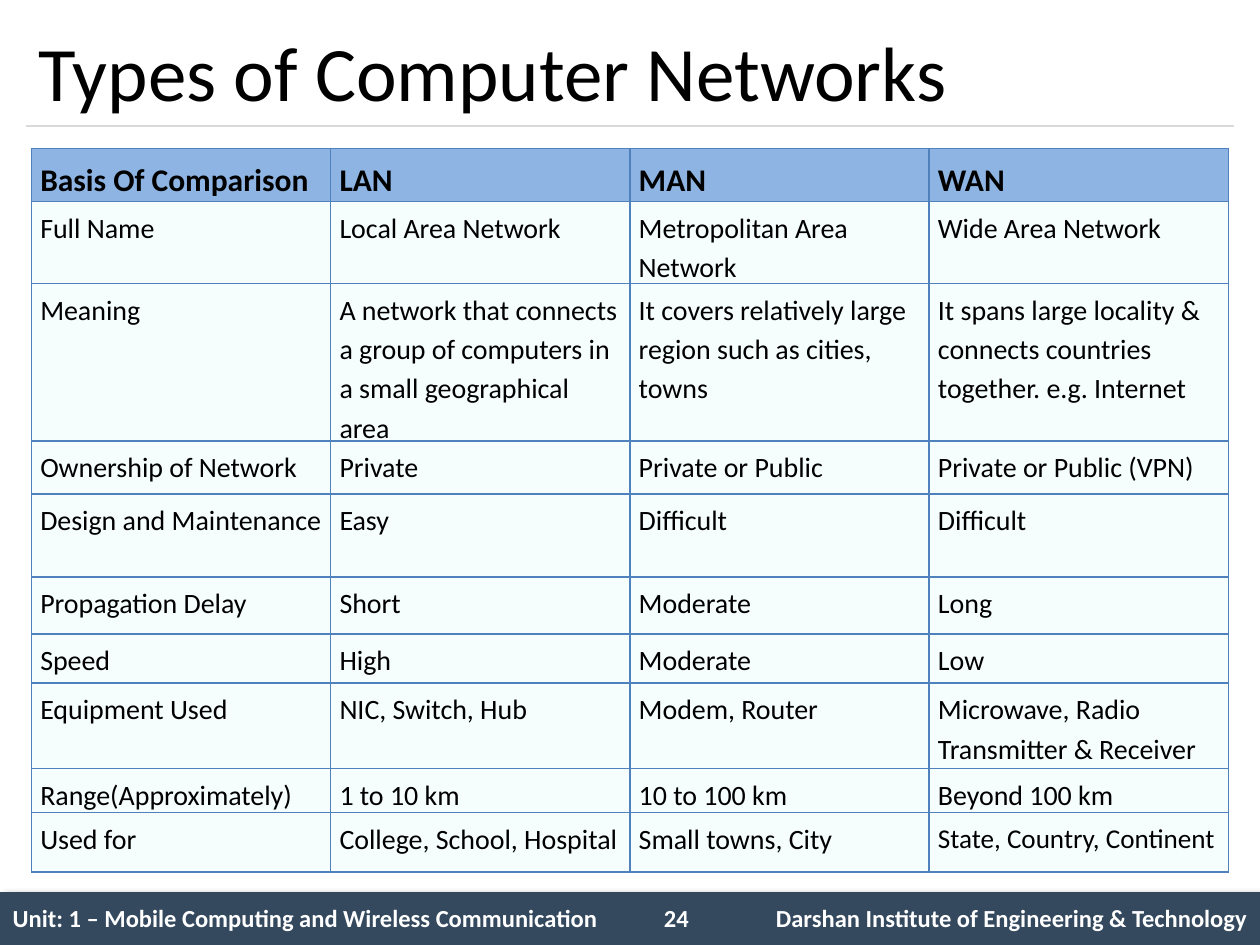
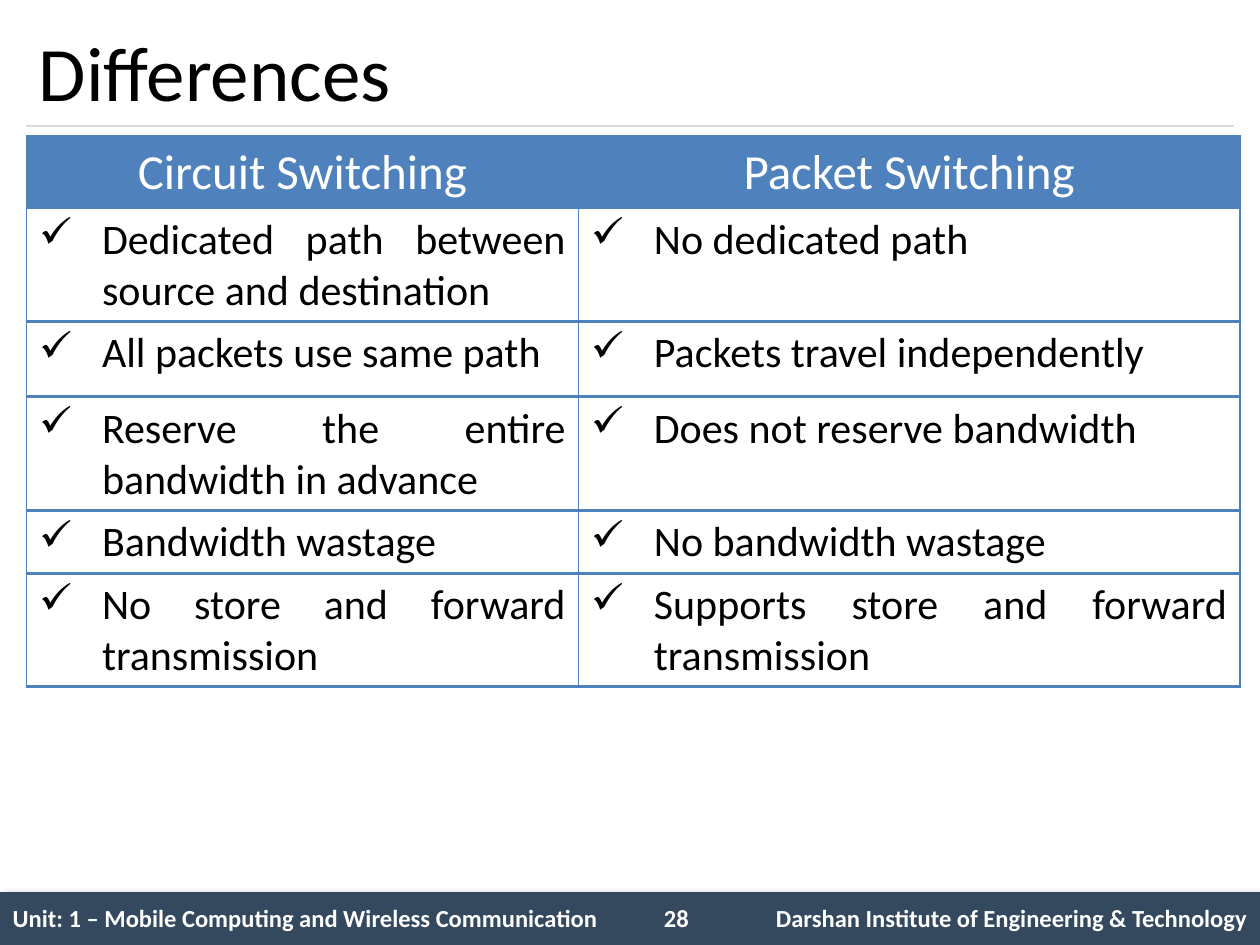
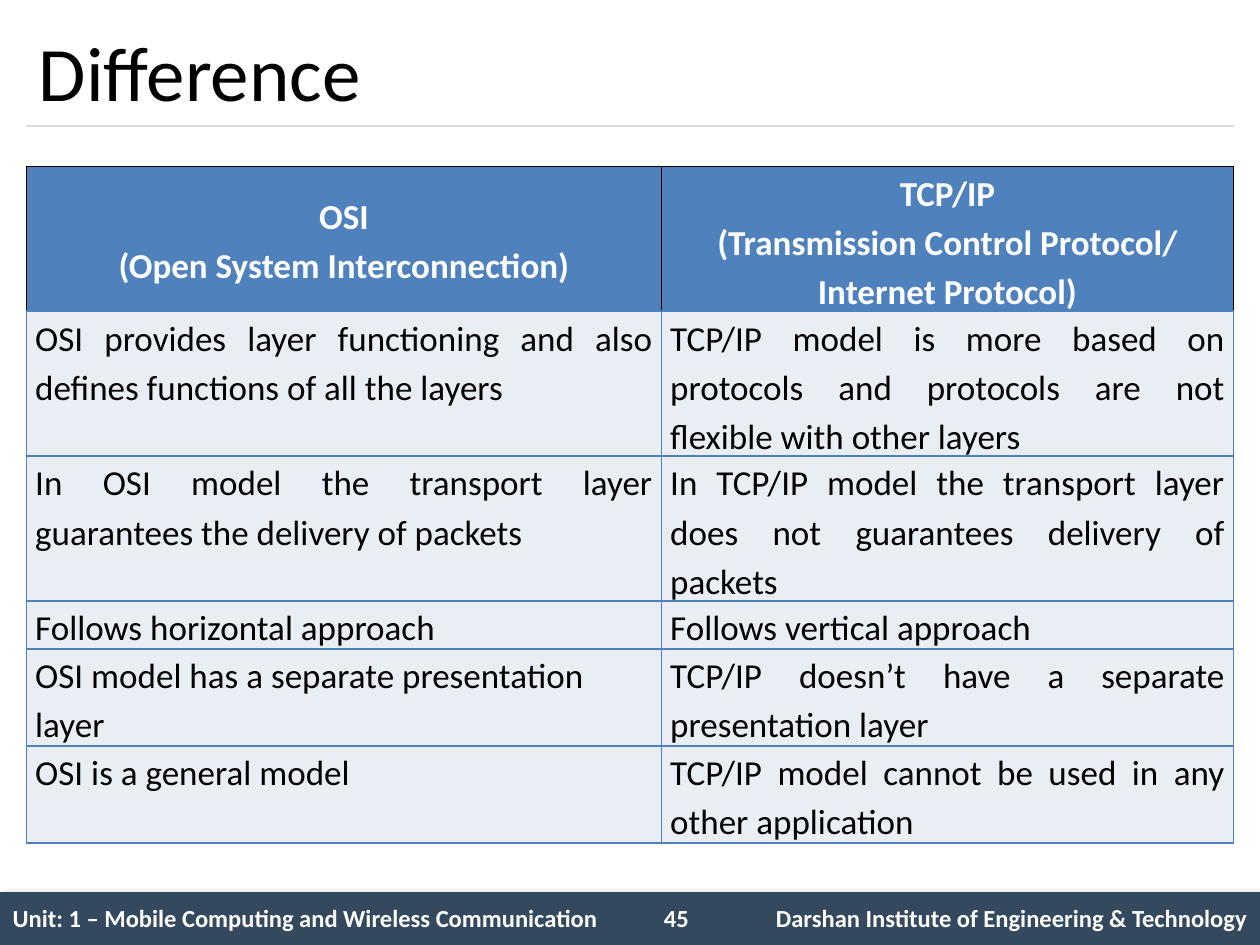
"""Build three comparison slides on computer networks."""
import dataclasses

import lxml.etree
import pptx
import pptx.dml.color
import pptx.enum.shapes
import pptx.enum.text
import pptx.oxml.ns
import pptx.util

Inches = pptx.util.Inches
Pt = pptx.util.Pt
Align = pptx.enum.text.PP_ALIGN
Anchor = pptx.enum.text.MSO_ANCHOR
rgb = pptx.dml.color.RGBColor.from_string
qn = pptx.oxml.ns.qn
SubElement = lxml.etree.SubElement


@dataclasses.dataclass(frozen=True)
class Theme:
    font: str = "Calibri"
    black: str = "000000"
    white: str = "FFFFFF"
    band: str = "34495E"
    rule: str = "D9D9D9"
    blue: str = "4F81BD"
    light_blue: str = "8EB4E3"
    mint: str = "F5FDFD"
    pale: str = "E9EDF4"
    title: float = 44
    switching_header: float = 28
    switching: float = 24
    models: float = 20
    networks_header: float = 18
    networks: float = 16
    networks_tight: float = 15.5
    footer: float = 14


THEME = Theme()


def write(frame, text, size, color=THEME.black, bold=False, align=Align.LEFT,
          spacing=None, bullet=None):
    frame.word_wrap = True
    for index, line in enumerate(text.split("\n")):
        para = frame.add_paragraph() if index else frame.paragraphs[0]
        if bullet:
            properties = para._p.get_or_add_pPr()
            properties.set("marL", str(Inches(0.5)))
            properties.set("indent", str(Inches(-0.5)))
            SubElement(properties, qn("a:buChar")).set("char", bullet)
        para.alignment = align
        para.line_spacing = spacing
        span = para.add_run()
        span.text = line
        span.font.name = THEME.font
        span.font.size = Pt(size)
        span.font.bold = bold
        span.font.color.rgb = rgb(color)


def add_strip(page, left, top, height, widths, texts, fill=None, border=None,
              bottom=1, anchor=Anchor.TOP, margins=(0.1, 0.05), **style):
    """Add a one-row table; a list in style holds one value per column."""
    table = page.shapes.add_table(1, len(widths), Inches(left), Inches(top),
                                  Inches(sum(widths)), Inches(height)).table
    table.first_row = table.horz_banding = False
    for column, (width, text) in enumerate(zip(widths, texts)):
        table.columns[column].width = Inches(width)
        cell = table.cell(0, column)
        cell.margin_left = cell.margin_right = Inches(margins[0])
        cell.margin_top = cell.margin_bottom = Inches(margins[1])
        cell.vertical_anchor = anchor
        for side in "LRTB":
            edge = SubElement(cell._tc.get_or_add_tcPr(), qn(f"a:ln{side}"))
            if border:
                edge.set("w", str(Pt(bottom if side == "B" else 1)))
                paint = SubElement(edge, qn("a:solidFill"))
                SubElement(paint, qn("a:srgbClr")).set("val", border)
            else:
                SubElement(edge, qn("a:noFill"))
        if fill:
            cell.fill.solid()
            cell.fill.fore_color.rgb = rgb(fill)
        else:
            cell.fill.background()
        if text:
            write(cell.text_frame, text, **{
                key: value[column] if isinstance(value, list) else value
                for key, value in style.items()})


deck = pptx.Presentation()
deck.slide_width = Inches(10)
deck.slide_height = Inches(7.5)

pages = []
for title, number in [("Types of Computer Networks", "24"),
                      ("Differences", "28"), ("Difference", "45")]:
    page = deck.slides.add_slide(deck.slide_layouts[6])
    pages.append(page)

    band = page.shapes.add_shape(pptx.enum.shapes.MSO_SHAPE.RECTANGLE,
                                 Inches(0), Inches(7.08), Inches(10), Inches(0.42))
    band.fill.solid()
    band.fill.fore_color.rgb = rgb(THEME.band)
    band.line.fill.background()
    band.shadow.inherit = False
    shadow = SubElement(band._element.spPr.find(qn("a:effectLst")), qn("a:outerShdw"),
                        blurRad=str(Pt(4)), dist=str(Pt(3)), dir=str(45 * 60000))
    shade = SubElement(shadow, qn("a:srgbClr"), val=THEME.black)
    SubElement(shade, qn("a:alpha"), val="40000")

    rule = page.shapes.add_connector(pptx.enum.shapes.MSO_CONNECTOR.STRAIGHT,
                                     Inches(0.21), Inches(1), Inches(9.79), Inches(1))
    rule.line.color.rgb = rgb(THEME.rule)
    rule.line.width = Pt(0.75)
    SubElement(rule._element.spPr, qn("a:effectLst"))

    add_strip(page, 0, 7.08, 0.43, [5.08, 0.67, 4.25],
              ["Unit: 1 – Mobile Computing and Wireless Communication", "",
               "Darshan Institute of Engineering & Technology"],
              anchor=Anchor.MIDDLE, size=THEME.footer, color=THEME.white, bold=True,
              align=[Align.LEFT, Align.LEFT, Align.RIGHT])

    number_box = page.shapes.add_textbox(Inches(5.17), Inches(7.12),
                                         Inches(0.58), Inches(0.34))
    write(number_box.text_frame, number, THEME.footer, color=THEME.white, bold=True)

    title_box = page.shapes.add_textbox(Inches(0.21), Inches(0.12),
                                        Inches(9.58), Inches(0.88))
    title_box.text_frame.vertical_anchor = Anchor.MIDDLE
    write(title_box.text_frame, title, THEME.title)

networks_page, switching_page, models_page = pages

network_columns = [9.5 / 4] * 4
network_look = dict(border=THEME.blue, margins=(0.07, 0.04), spacing=1.15)
add_strip(networks_page, 0.25, 1.18, 0.47, network_columns,
          ["Basis Of Comparison", "LAN", "MAN", "WAN"], fill=THEME.light_blue,
          bottom=2, anchor=Anchor.MIDDLE, size=THEME.networks_header, bold=True,
          **network_look)
network_rows = [
    (1.6, 0.69, ["Full Name", "Local Area Network", "Metropolitan Area Network",
                 "Wide Area Network"]),
    (2.25, 1.3, ["Meaning",
                 "A network that connects a group of computers in a small geographical area",
                 "It covers relatively large region such as cities, towns",
                 "It spans large locality & connects countries together. e.g. Internet"]),
    (3.5, 0.47, ["Ownership of Network", "Private", "Private or Public",
                 "Private or Public (VPN)"]),
    (3.92, 0.69, ["Design and Maintenance", "Easy", "Difficult", "Difficult"]),
    (4.58, 0.47, ["Propagation Delay", "Short", "Moderate", "Long"]),
    (5.03, 0.47, ["Speed", "High", "Moderate", "Low"]),
    (5.42, 0.69, ["Equipment Used", "NIC, Switch, Hub", "Modem, Router",
                  "Microwave, Radio Transmitter & Receiver"]),
    (6.1, 0.38, ["Range(Approximately)", "1 to 10 km", "10 to 100 km", "Beyond 100 km"]),
    (6.45, 0.47, ["Used for", "College, School, Hospital", "Small towns, City",
                  "State, Country, Continent"]),
]
for top, height, texts in network_rows:
    last_size = THEME.networks_tight if texts[0] == "Used for" else THEME.networks
    add_strip(networks_page, 0.25, top, height, network_columns, texts, fill=THEME.mint,
              size=[THEME.networks] * 3 + [last_size], **network_look)

switching_columns = [4.38, 5.25]
add_strip(switching_page, 0.21, 1.08, 0.57, switching_columns,
          ["Circuit Switching", "Packet Switching"], fill=THEME.blue, border=THEME.blue,
          size=THEME.switching_header, color=THEME.white, align=Align.CENTER)
switching_rows = [
    (0.9, ["Dedicated path between source and destination", "No dedicated path"]),
    (0.6, ["All packets use same path", "Packets travel independently"]),
    (0.9, ["Reserve the entire bandwidth in advance", "Does not reserve bandwidth"]),
    (0.5, ["Bandwidth wastage", "No bandwidth wastage"]),
    (0.9, ["No store and forward transmission",
           "Supports store and forward transmission"]),
]
top = 1.65
for height, texts in switching_rows:
    add_strip(switching_page, 0.21, top, height, switching_columns, texts,
              border=THEME.blue, bottom=2, size=THEME.switching, align=Align.JUSTIFY,
              bullet="✓")
    top += height

model_columns = [5.04, 4.54]
model_look = dict(margins=(0.07, 0), size=THEME.models, spacing=1.15)
add_strip(models_page, 0.21, 1.32, 1.15, model_columns,
          ["OSI\n(Open System Interconnection)",
           "TCP/IP\n(Transmission Control Protocol/ Internet Protocol)"],
          fill=THEME.blue, border=THEME.black, anchor=Anchor.MIDDLE, color=THEME.white,
          bold=True, align=Align.CENTER, **model_look)
model_rows = [
    (1.15, Align.JUSTIFY, Align.JUSTIFY,
     ["OSI provides layer functioning and also defines functions of all the layers",
      "TCP/IP model is more based on protocols and protocols are not flexible "
      "with other layers"]),
    (1.15, Align.JUSTIFY, Align.JUSTIFY,
     ["In OSI model the transport layer guarantees the delivery of packets",
      "In TCP/IP model the transport layer does not guarantees delivery of packets"]),
    (0.38, Align.LEFT, Align.LEFT,
     ["Follows horizontal approach", "Follows vertical approach"]),
    (0.77, Align.LEFT, Align.JUSTIFY,
     ["OSI model has a separate presentation layer",
      "TCP/IP doesn’t have a separate presentation layer"]),
    (0.77, Align.LEFT, Align.JUSTIFY,
     ["OSI is a general model", "TCP/IP model cannot be used in any other application"]),
]
top = 2.47
for height, osi_align, tcp_align, texts in model_rows:
    add_strip(models_page, 0.21, top, height, model_columns, texts, fill=THEME.pale,
              border=THEME.blue, align=[osi_align, tcp_align], **model_look)
    top += height

deck.save("out.pptx")
